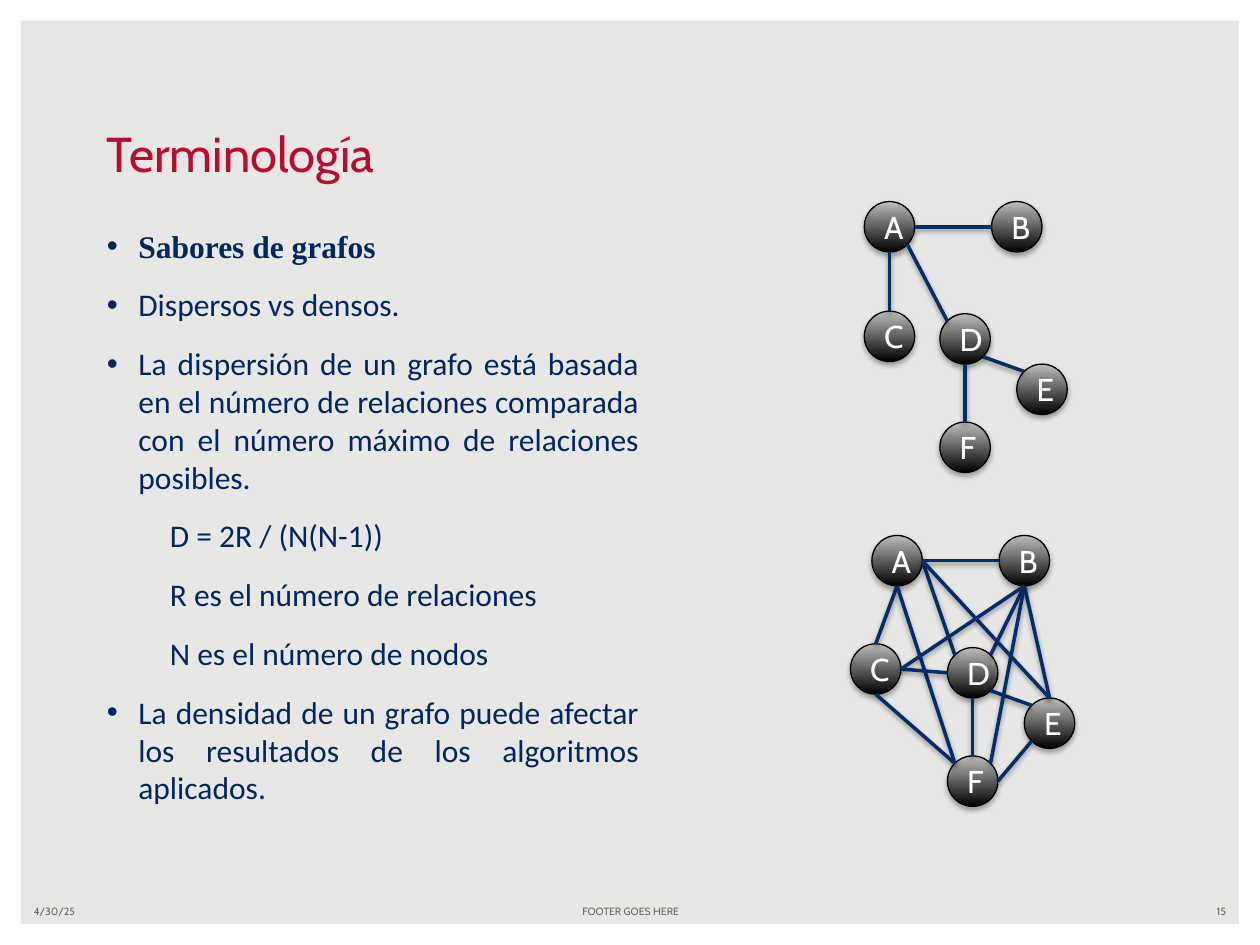
from lxml import etree
from pptx import Presentation
from pptx.dml.color import RGBColor
from pptx.enum.shapes import MSO_CONNECTOR, MSO_SHAPE
from pptx.enum.text import MSO_ANCHOR, PP_ALIGN
from pptx.oxml.ns import qn
from pptx.util import Inches, Pt
from math import cos, radians, sin

FRAME, OVAL = MSO_SHAPE.FRAME, MSO_SHAPE.OVAL
STRAIGHT = MSO_CONNECTOR.STRAIGHT
TOP, MIDDLE, BOTTOM = MSO_ANCHOR.TOP, MSO_ANCHOR.MIDDLE, MSO_ANCHOR.BOTTOM
LEFT, CENTER, RIGHT, JUSTIFY = PP_ALIGN.LEFT, PP_ALIGN.CENTER, PP_ALIGN.RIGHT, PP_ALIGN.JUSTIFY

COLORS = {
    "ground": "E7E7E5", "white": "FFFFFF", "black": "000000", "silver": "BDBDBD",
    "title": "BA0C2F", "body": "002664", "edge": "002F6C", "foot": "6C6463",
}
FONTS = {
    "title": {"name": "Cabin", "size": Pt(28), "color": "title"},
    "head": {"name": "Times New Roman", "size": Pt(18), "color": "body", "bold": True},
    "body": {"name": "Calibri", "size": Pt(18), "color": "body"},
    "foot": {"name": "Cabin", "size": Pt(6), "color": "foot"},
    "node": {"name": "Cabin", "size": Pt(18), "color": "white"},
}
COLS, ROWS, RADIUS = 100, 75, 2

BODY = [
    ("head", True, "Sabores de grafos"),
    ("body", True, "Dispersos vs densos."),
    ("body", True, "La dispersión de un grafo está basada en el número de relaciones "
                   "comparada con el número máximo de relaciones posibles."),
    ("body", False, "D = 2R / (N(N-1))"),
    ("body", False, "R es el número de relaciones"),
    ("body", False, "N es el número de nodos"),
    ("body", True, "La densidad de un grafo puede afectar los resultados de los "
                   "algoritmos aplicados."),
]
FEET = [
    (1.7, 23.3, LEFT, "4/30/25"),
    (34.2, 31.7, CENTER, "FOOTER GOES HERE"),
    (75, 23.3, RIGHT, "15"),
]
SPARSE = (
    {"A": (70.6, 18), "C": (70.6, 26.7), "B": (80.7, 18),
     "D": (76.6, 26.9), "F": (76.6, 35.5), "E": (82.7, 30.9)},
    "A6B2 A4C0 A5D1 D4F0 D5E1",
)
DENSE = (
    {"A": (71.2, 44.5), "C": (69.5, 53.1), "B": (81.3, 44.5),
     "D": (77.2, 53.4), "F": (77.2, 62), "E": (83.3, 57.4)},
    "A6B2 A4C0 D4F0 D5E1 A6D1 B4D7 B4E0 C4F1 E3F6 B4F7 A6E0 A4F1 C6D2 C6B4",
)


class Deck:
    """Holds the style, the grid and the current slide."""

    def __init__(self):
        self.prs = Presentation()
        self.prs.slide_width, self.prs.slide_height = Inches(10), Inches(7.5)
        self.slide = self.prs.slides.add_slide(self.prs.slide_layouts[6])
        self.shapes = self.slide.shapes
        self.paint(self.slide.background.fill, "ground")

    def grid(self, *cells):
        units = self.prs.slide_width / COLS, self.prs.slide_height / ROWS
        return [round(cell * units[i % 2]) for i, cell in enumerate(cells)]

    def paint(self, fill, color):
        fill.solid()
        fill.fore_color.rgb = RGBColor.from_string(COLORS[color])

    def words(self, par, text, style):
        run = par.add_run()
        run.text = text
        for key, value in FONTS[style].items():
            if key == "color":
                run.font.color.rgb = RGBColor.from_string(COLORS[value])
            else:
                setattr(run.font, key, value)

    def shade(self, shape, alpha, dist):
        effects = etree.SubElement(shape._element.spPr, qn("a:effectLst"))
        shadow = etree.SubElement(effects, qn("a:outerShdw"), blurRad=str(Pt(3.1)),
                                  dist=str(Pt(dist)), dir="5400000", rotWithShape="0")
        color = etree.SubElement(shadow, qn("a:srgbClr"), val=COLORS["black"])
        etree.SubElement(color, qn("a:alpha"), val=str(alpha * 1000))

    def frame(self):
        shape = self.shapes.add_shape(FRAME, *self.grid(0, 0, COLS, ROWS))
        shape.adjustments[0] = 0.022
        shape.shadow.inherit = False
        self.paint(shape.fill, "white")
        shape.line.fill.background()

    def box(self, cells, anchor):
        frame = self.shapes.add_textbox(*self.grid(*cells)).text_frame
        frame.word_wrap, frame.vertical_anchor = True, anchor
        return frame

    def label(self, cells, text, style, align=LEFT, anchor=MIDDLE):
        par = self.box(cells, anchor).paragraphs[0]
        par.alignment = align
        self.words(par, text, style)

    def bullets(self, cells, items):
        frame = self.box(cells, TOP)
        for i, (style, dot, text) in enumerate(items):
            par = frame.add_paragraph() if i else frame.paragraphs[0]
            par.alignment, par.space_after = JUSTIFY, Pt(12)
            par.level = 0 if dot else 1
            props = par._p.get_or_add_pPr()
            props.set("marL", str(Inches(0.25 if dot else 0.5)))
            props.set("indent", str(Inches(-0.25 if dot else 0)))
            if dot:
                etree.SubElement(props, qn("a:buFont"), typeface="Arial")
                etree.SubElement(props, qn("a:buChar"), char="•")
            else:
                etree.SubElement(props, qn("a:buNone"))
            self.words(par, text, style)

    def node(self, name, x, y):
        cells = x - RADIUS, y - RADIUS, 2 * RADIUS, 2 * RADIUS
        shape = self.shapes.add_shape(OVAL, *self.grid(*cells))
        shape.fill.gradient()
        shape.fill.gradient_angle = 90
        for stop, color in zip(shape.fill.gradient_stops, ("black", "silver")):
            stop.color.rgb = RGBColor.from_string(COLORS[color])
        self.paint(shape.line.fill, "black")
        shape.line.width = Pt(0.75)
        self.shade(shape, 35, 1.8)
        frame = shape.text_frame
        frame.vertical_anchor = MIDDLE
        frame.paragraphs[0].alignment = CENTER
        self.words(frame.paragraphs[0], name, "node")

    def edge(self, start, end):
        line = self.shapes.add_connector(STRAIGHT, *self.grid(*start, *end))
        self.paint(line.line.fill, "edge")
        line.line.width = Pt(2)
        self.shade(line, 38, 1.6)

    def graph(self, nodes, edges):
        """Draws nodes, then edges whose ends are a node and an eighth turn from its top."""
        def rim(name, turn):
            x, y = nodes[name]
            angle = radians(45 * int(turn))
            return x - RADIUS * sin(angle), y - RADIUS * cos(angle)

        for name, spot in nodes.items():
            self.node(name, *spot)
        for pair in edges.split():
            self.edge(rim(*pair[:2]), rim(*pair[2:]))


def main():
    deck = Deck()
    deck.frame()
    deck.bullets((7.5, 17.5, 44.2, 48.2), BODY)
    for left, width, align, text in FEET:
        deck.label((left, 71.3, width, 2), text, "foot", align)
    deck.label((7.5, 9.3, 85, 5.7), "Terminología", "title", anchor=BOTTOM)
    for nodes, edges in (DENSE, SPARSE):
        deck.graph(nodes, edges)
    deck.prs.save("out.pptx")


if __name__ == "__main__":
    main()
